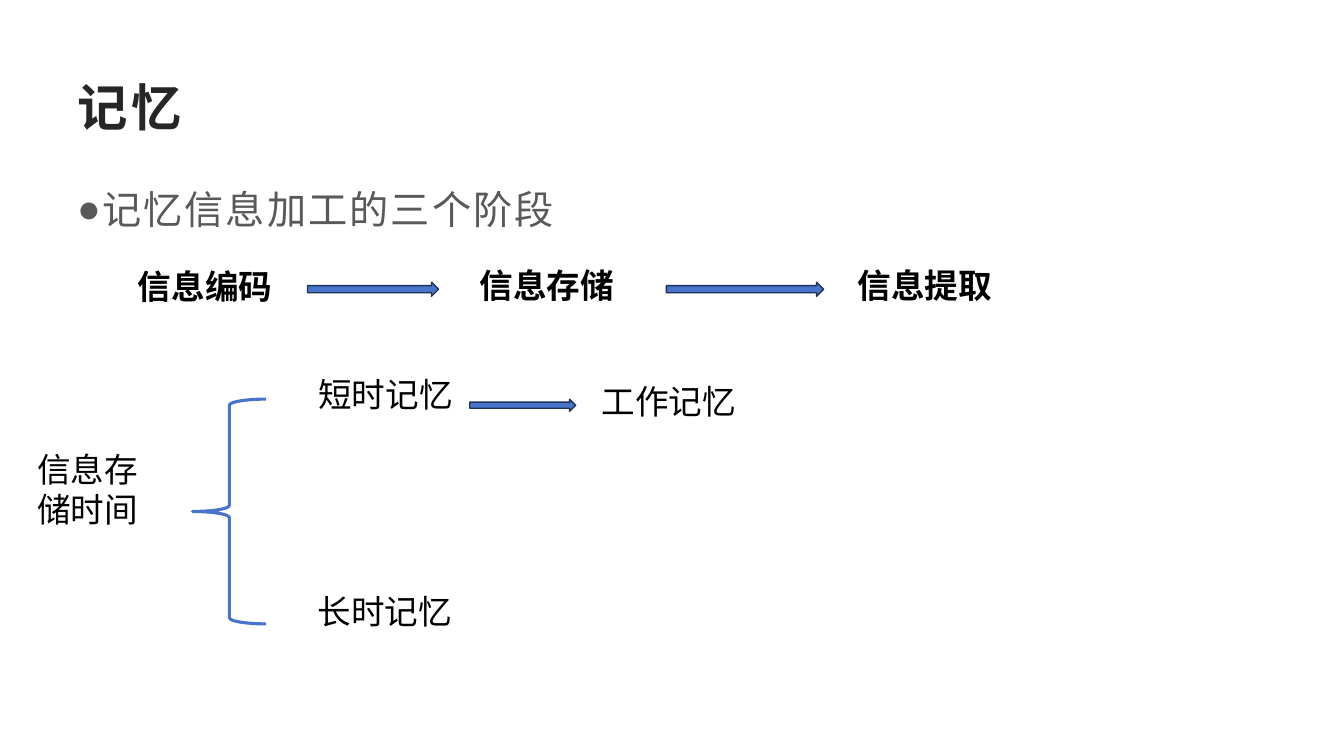
"""Build a slide on the three stages of memory processing."""
import dataclasses

import pptx
import pptx.dml.color
import pptx.enum.shapes
import pptx.enum.text
import pptx.oxml.ns
import pptx.slide
import pptx.text.text
import pptx.util
from lxml import etree

RGBColor = pptx.dml.color.RGBColor
Shape = pptx.enum.shapes.MSO_SHAPE
Anchor = pptx.enum.text.MSO_ANCHOR

TITLE_INK = RGBColor(0x26, 0x26, 0x26)
BODY_INK = RGBColor(0x59, 0x59, 0x59)
BLACK = RGBColor(0x00, 0x00, 0x00)
BLUE = RGBColor(0x48, 0x74, 0xCB)
NAVY = RGBColor(0x20, 0x33, 0x59)

FONT = "Arial"
SLIDE_WIDTH = pptx.util.Inches(13.333)
SLIDE_HEIGHT = pptx.util.Inches(7.5)
LINE_HEIGHT = 6.67
MEMORY_WIDTH = 13.13


@dataclasses.dataclass(frozen=True)
class Area:
    """Hold a rectangle in percent of the slide's width and height."""

    left: float
    top: float
    width: float
    height: float = LINE_HEIGHT

    def box(self) -> tuple[int, int, int, int]:
        """Return left, top, width and height in EMU."""
        return (
            round(SLIDE_WIDTH * self.left / 100),
            round(SLIDE_HEIGHT * self.top / 100),
            round(SLIDE_WIDTH * self.width / 100),
            round(SLIDE_HEIGHT * self.height / 100),
        )


@dataclasses.dataclass(frozen=True)
class Label:
    """Describe a term of the diagram."""

    text: str
    area: Area
    bold: bool = False
    indent: float = 0


LABELS = (
    Label("信息编码", Area(9.53, 34.53, 11.78), bold=True),
    Label("信息存储", Area(34.95, 34.4, 14.93), bold=True),
    Label("信息提取", Area(59.33, 34.4, 19.5), bold=True, indent=0.5),
    Label("短时记忆", Area(22.95, 48.8, MEMORY_WIDTH)),
    Label("信息存储时间", Area(2.03, 58.67, 9.83, 12.27)),
    Label("长时记忆", Area(22.88, 77.47, MEMORY_WIDTH)),
    Label("工作记忆", Area(44.03, 49.73, MEMORY_WIDTH)),
)
ARROWS = (
    Area(22.88, 37.33, 9.75, 1.87),
    Area(49.58, 37.33, 11.7, 1.87),
    Area(34.95, 52.8, 7.88, 1.6),
)
STORAGE_BRACE = Area(14.33, 52.8, 5.48, 29.73)


def add_text(
    slide: pptx.slide.Slide,
    text: str,
    area: Area,
    *,
    size: float = 24,
    color: RGBColor = BLACK,
    bold: bool = False,
    spacing: float = 0,
    indent: float = 0,
    anchor: Anchor = Anchor.TOP,
) -> pptx.text.text._Paragraph:
    """Add a wrapped text box and return its paragraph."""
    frame = slide.shapes.add_textbox(*area.box()).text_frame
    frame.word_wrap = True
    frame.vertical_anchor = anchor
    paragraph = frame.paragraphs[0]
    if indent:
        paragraph._p.get_or_add_pPr().set("marL", str(pptx.util.Inches(indent)))
    run = paragraph.add_run()
    run.text = text
    run.font.size = pptx.util.Pt(size)
    run.font.bold = bold
    run.font.color.rgb = color
    run.font.name = FONT
    properties = run._r.get_or_add_rPr()
    properties.set("lang", "zh-CN")
    properties.set("spc", str(round(spacing * 100)))
    etree.SubElement(properties, pptx.oxml.ns.qn("a:ea"), typeface=FONT)
    return paragraph


def add_bullet(paragraph: pptx.text.text._Paragraph, indent: float) -> None:
    """Hang a round bullet before the paragraph."""
    properties = paragraph._p.get_or_add_pPr()
    properties.set("marL", str(pptx.util.Inches(indent)))
    properties.set("indent", str(-pptx.util.Inches(indent)))
    etree.SubElement(properties, pptx.oxml.ns.qn("a:buFont"), typeface=FONT)
    etree.SubElement(properties, pptx.oxml.ns.qn("a:buChar"), char="●")


def add_figure(
    slide: pptx.slide.Slide,
    kind: Shape,
    area: Area,
    line: RGBColor,
    weight: float,
    fill: RGBColor | None = None,
) -> None:
    """Add an outlined preset shape, filled if a fill is given."""
    figure = slide.shapes.add_shape(kind, *area.box())
    figure.shadow.inherit = False
    figure.line.color.rgb = line
    figure.line.width = pptx.util.Pt(weight)
    if fill is None:
        figure.fill.background()
    else:
        figure.fill.solid()
        figure.fill.fore_color.rgb = fill


def main() -> None:
    """Compose and save the slide."""
    deck = pptx.Presentation()
    deck.slide_width, deck.slide_height = SLIDE_WIDTH, SLIDE_HEIGHT
    slide = deck.slides.add_slide(deck.slide_layouts[6])

    add_text(slide, "记忆", Area(5, 8.93, 90, 10.27), size=36, color=TITLE_INK,
             bold=True, spacing=3, anchor=Anchor.MIDDLE)
    stages = add_text(slide, "记忆信息加工的三个阶段", Area(5, 22, 90, 10.27),
                      size=28, color=BODY_INK, spacing=1.5)
    stages.line_spacing = 1.3
    stages.space_after = pptx.util.Pt(10)
    add_bullet(stages, 0.25)

    for label in LABELS:
        add_text(slide, label.text, label.area, bold=label.bold, indent=label.indent)
    for arrow in ARROWS:
        add_figure(slide, Shape.RIGHT_ARROW, arrow, NAVY, 1, BLUE)
    add_figure(slide, Shape.LEFT_BRACE, STORAGE_BRACE, BLUE, 2.25)

    deck.save("out.pptx")


if __name__ == "__main__":
    main()
